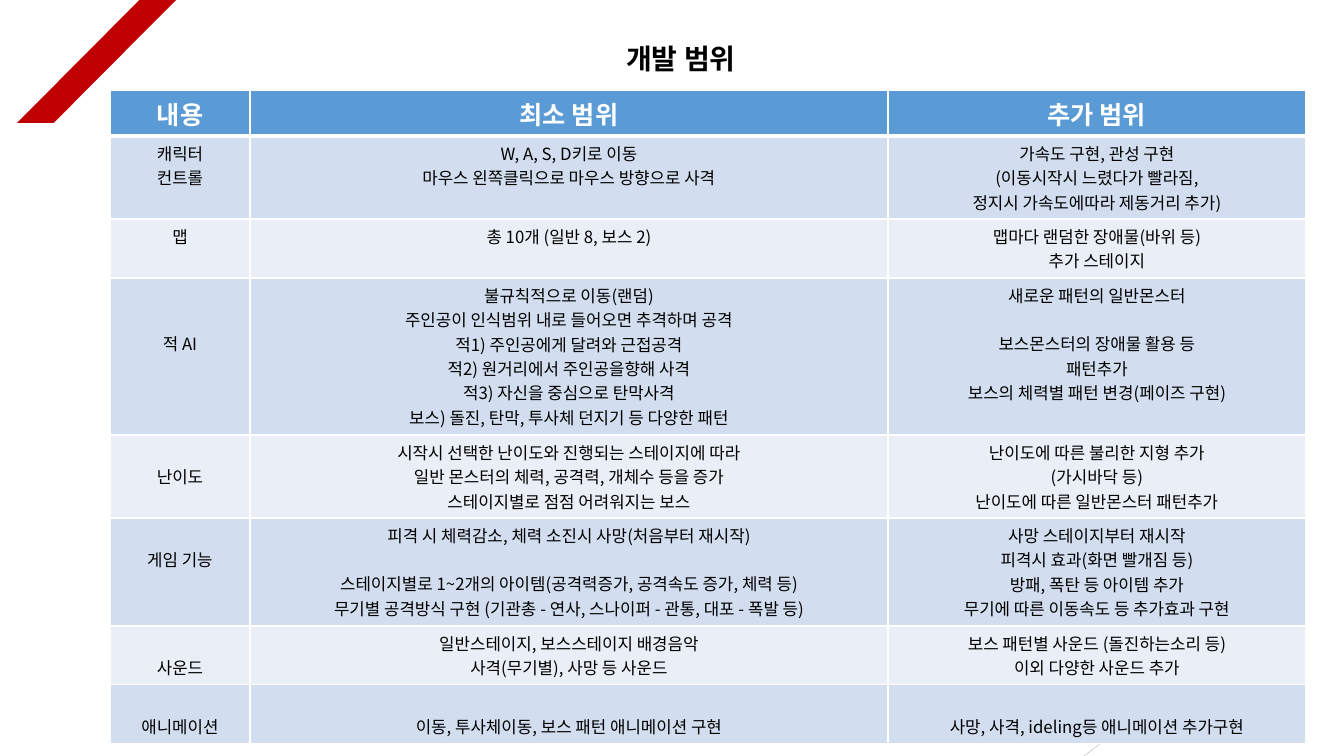
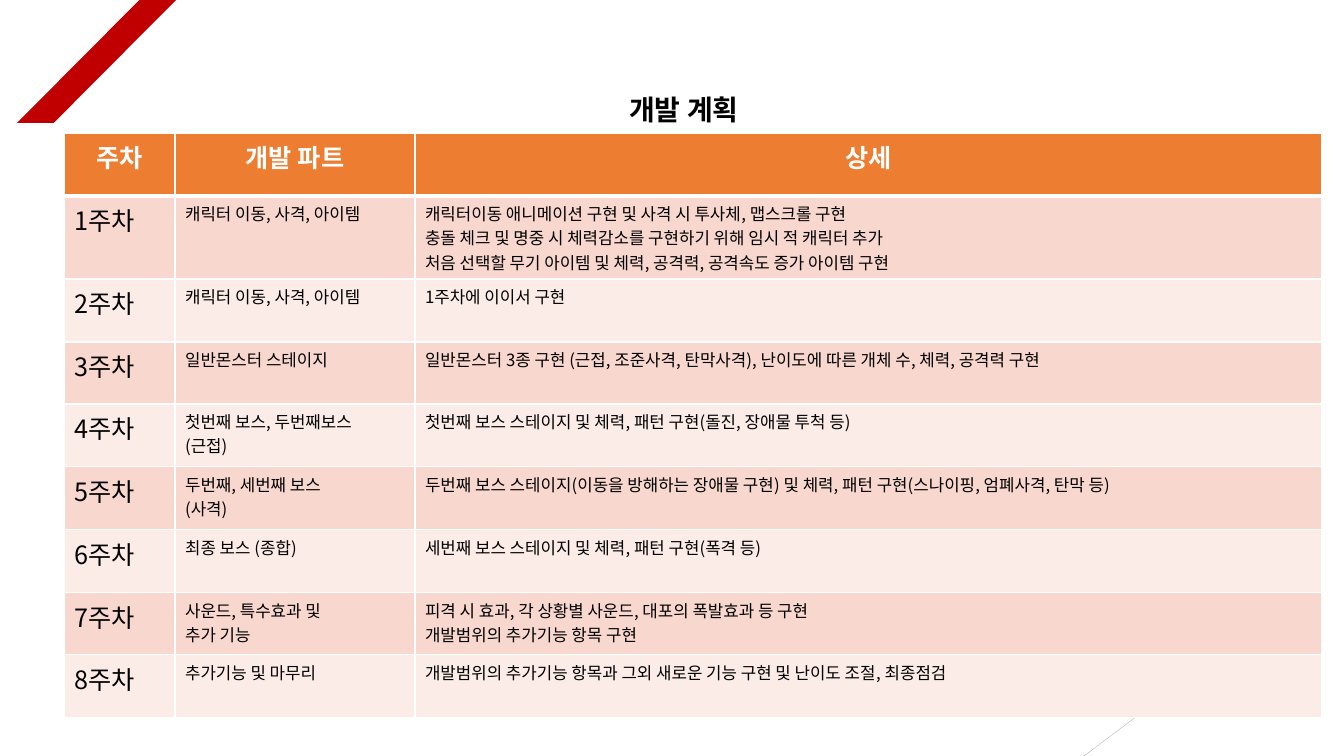
"""Build two slides on game development: a scope table and a weekly plan."""
from lxml import etree
from pptx import Presentation
from pptx import util as u
from pptx.dml.color import RGBColor
from pptx.enum import shapes, text
from pptx.oxml import ns

SCALE = 914400 / 100.8
FONT = "Noto Sans CJK KR"
BLACK = RGBColor(0x00, 0x00, 0x00)
WHITE = RGBColor(0xFF, 0xFF, 0xFF)
RED = RGBColor(0xC0, 0x00, 0x00)
GRAY = RGBColor(0xA6, 0xA6, 0xA6)
BLUES = (RGBColor(0x5B, 0x9B, 0xD5), RGBColor(0xD2, 0xDE, 0xEF), RGBColor(0xEA, 0xEF, 0xF7))
ORANGES = (RGBColor(0xED, 0x7D, 0x31), RGBColor(0xF8, 0xD7, 0xCE), RGBColor(0xFC, 0xEC, 0xE8))
CENTER, LEFT = text.PP_ALIGN.CENTER, text.PP_ALIGN.LEFT
LINE_PX, INSET_PX = 24, 5

SCOPE = {
    "title": "개발 범위",
    "title_at": (113, 32),
    "table_at": (110, 90),
    "cols": (140, 638, 418),
    "heights": (46, 83, 59, 157, 83, 108, 59, 59),
    "colors": BLUES,
    "align": CENTER,
    "sizes": (12, 12, 12),
    "rows": [
        ("내용", "최소 범위", "추가 범위"),
        ("캐릭터\n컨트롤",
         "W, A, S, D키로 이동\n마우스 왼쪽클릭으로 마우스 방향으로 사격",
         "가속도 구현, 관성 구현\n(이동시작시 느렸다가 빨라짐,\n정지시 가속도에따라 제동거리 추가)"),
        ("맵", "총 10개 (일반 8, 보스 2)", "맵마다 랜덤한 장애물(바위 등)\n추가 스테이지"),
        ("\n\n적 AI",
         "불규칙적으로 이동(랜덤)\n주인공이 인식범위 내로 들어오면 추격하며 공격\n"
         "적1) 주인공에게 달려와 근접공격\n적2) 원거리에서 주인공을향해 사격\n"
         "적3) 자신을 중심으로 탄막사격\n보스) 돌진, 탄막, 투사체 던지기 등 다양한 패턴",
         "새로운 패턴의 일반몬스터\n\n보스몬스터의 장애물 활용 등\n패턴추가\n"
         "보스의 체력별 패턴 변경(페이즈 구현)"),
        ("\n난이도",
         "시작시 선택한 난이도와 진행되는 스테이지에 따라\n"
         "일반 몬스터의 체력, 공격력, 개체수 등을 증가\n스테이지별로 점점 어려워지는 보스",
         "난이도에 따른 불리한 지형 추가\n(가시바닥 등)\n난이도에 따른 일반몬스터 패턴추가"),
        ("\n게임 기능",
         "피격 시 체력감소, 체력 소진시 사망(처음부터 재시작)\n\n"
         "스테이지별로 1~2개의 아이템(공격력증가, 공격속도 증가, 체력 등)\n"
         "무기별 공격방식 구현 (기관총 - 연사, 스나이퍼 - 관통, 대포 - 폭발 등)",
         "사망 스테이지부터 재시작\n피격시 효과(화면 빨개짐 등)\n"
         "방패, 폭탄 등 아이템 추가\n무기에 따른 이동속도 등 추가효과 구현"),
        ("\n사운드",
         "일반스테이지, 보스스테이지 배경음악\n사격(무기별), 사망 등 사운드",
         "보스 패턴별 사운드 (돌진하는소리 등)\n이외 다양한 사운드 추가"),
        ("\n애니메이션",
         "\n이동, 투사체이동, 보스 패턴 애니메이션 구현",
         "\n사망, 사격, ideling등 애니메이션 추가구현"),
    ],
}
PLAN = {
    "title": "개발 계획",
    "title_at": (116, 83),
    "table_at": (64, 133),
    "cols": (111, 240, 907),
    "heights": (63, 83, 63, 62, 63, 63, 63, 62, 63),
    "colors": ORANGES,
    "align": LEFT,
    "sizes": (18, 12, 12),
    "rows": [
        ("주차", "개발 파트", "상세"),
        ("1주차", "캐릭터 이동, 사격, 아이템",
         "캐릭터이동 애니메이션 구현 및 사격 시 투사체, 맵스크롤 구현\n"
         "충돌 체크 및 명중 시 체력감소를 구현하기 위해 임시 적 캐릭터 추가\n"
         "처음 선택할 무기 아이템 및 체력, 공격력, 공격속도 증가 아이템 구현"),
        ("2주차", "캐릭터 이동, 사격, 아이템", "1주차에 이이서 구현"),
        ("3주차", "일반몬스터 스테이지",
         "일반몬스터 3종 구현 (근접, 조준사격, 탄막사격), 난이도에 따른 개체 수, 체력, 공격력 구현"),
        ("4주차", "첫번째 보스, 두번째보스\n(근접)",
         "첫번째 보스 스테이지 및 체력, 패턴 구현(돌진, 장애물 투척 등)"),
        ("5주차", "두번째, 세번째 보스\n(사격)",
         "두번째 보스 스테이지(이동을 방해하는 장애물 구현) 및 체력, 패턴 구현"
         "(스나이핑, 엄폐사격, 탄막 등)"),
        ("6주차", "최종 보스 (종합)", "세번째 보스 스테이지 및 체력, 패턴 구현(폭격 등)"),
        ("7주차", "사운드, 특수효과 및\n추가 기능",
         "피격 시 효과, 각 상황별 사운드, 대포의 폭발효과 등 구현\n개발범위의 추가기능 항목 구현"),
        ("8주차", "추가기능 및 마무리",
         "개발범위의 추가기능 항목과 그외 새로운 기능 구현 및 난이도 조절, 최종점검"),
    ],
}


def px(n):
    return u.Emu(round(n * SCALE))


def add_run(p, words, size, color, bold):
    r = p.add_run()
    r.text = words
    r.font.name, r.font.size, r.font.bold = FONT, u.Pt(size), bold
    r.font.color.rgb = color
    ea = etree.SubElement(r.font._element, ns.qn("a:ea"))
    ea.set("typeface", FONT)


def add_decor(s):
    sp = s.shapes.add_shape(shapes.MSO_SHAPE.PARALLELOGRAM, px(17), px(0), px(159), px(123))
    sp.adjustments[0] = 0.995
    sp.shadow.inherit = False
    sp.fill.solid()
    sp.fill.fore_color.rgb = RED
    sp.line.fill.background()
    line = s.shapes.add_connector(shapes.MSO_CONNECTOR.STRAIGHT, px(1084), px(756), px(1291), px(600))
    line.line.color.rgb = GRAY
    line.line.width = u.Pt(0.2)
    etree.SubElement(line._element.spPr, ns.qn("a:effectLst"))


def add_title(s, words, at):
    tf = s.shapes.add_textbox(*map(px, at), px(1136), px(57)).text_frame
    tf.word_wrap = True
    tf.vertical_anchor = text.MSO_ANCHOR.MIDDLE
    p = tf.paragraphs[0]
    p.alignment, p.line_spacing = CENTER, 0.9
    add_run(p, words, 20, BLACK, True)


def set_borders(cell, bottom):
    tc_pr = cell._tc.get_or_add_tcPr()
    for side, width in (("L", 1), ("R", 1), ("T", 1), ("B", bottom)):
        ln = etree.SubElement(tc_pr, ns.qn(f"a:ln{side}"), w=str(u.Pt(width)))
        fill = etree.SubElement(ln, ns.qn("a:solidFill"))
        etree.SubElement(fill, ns.qn("a:srgbClr"), val=str(WHITE))


def fill_cell(cell, words, size, color, bold, align):
    tf = cell.text_frame
    gap, first = 0, True
    for row in words.split("\n"):
        if not row:
            gap += LINE_PX
            continue
        p = tf.paragraphs[0] if first else tf.add_paragraph()
        p.alignment = align
        if first:
            cell.margin_top = px(INSET_PX + gap)
        elif gap:
            p.space_before = px(gap)
        add_run(p, row, size, color, bold)
        gap, first = 0, False


def add_table(s, data):
    rows, cols, heights = data["rows"], data["cols"], data["heights"]
    frame = s.shapes.add_table(len(rows), len(cols), *map(px, data["table_at"]),
                               px(sum(cols)), px(sum(heights)))
    table = frame.table
    table.horz_banding = False
    for column, width in zip(table.columns, cols):
        column.width = px(width)
    head, odd, even = data["colors"]
    for i, (row, height) in enumerate(zip(rows, heights)):
        table.rows[i].height = px(height)
        for j, words in enumerate(row):
            cell = table.cell(i, j)
            set_borders(cell, 1 if i else 3)
            cell.fill.solid()
            if i:
                cell.fill.fore_color.rgb = odd if i % 2 else even
                fill_cell(cell, words, data["sizes"][j], BLACK, False, data["align"])
            else:
                cell.fill.fore_color.rgb = head
                fill_cell(cell, words, 18, WHITE, True, CENTER)


def main():
    prs = Presentation()
    prs.slide_width, prs.slide_height = px(1344), px(756)
    for data in (SCOPE, PLAN):
        s = prs.slides.add_slide(prs.slide_layouts[6])
        add_decor(s)
        add_title(s, data["title"], data["title_at"])
        add_table(s, data)
    prs.save("out.pptx")


if __name__ == "__main__":
    main()
